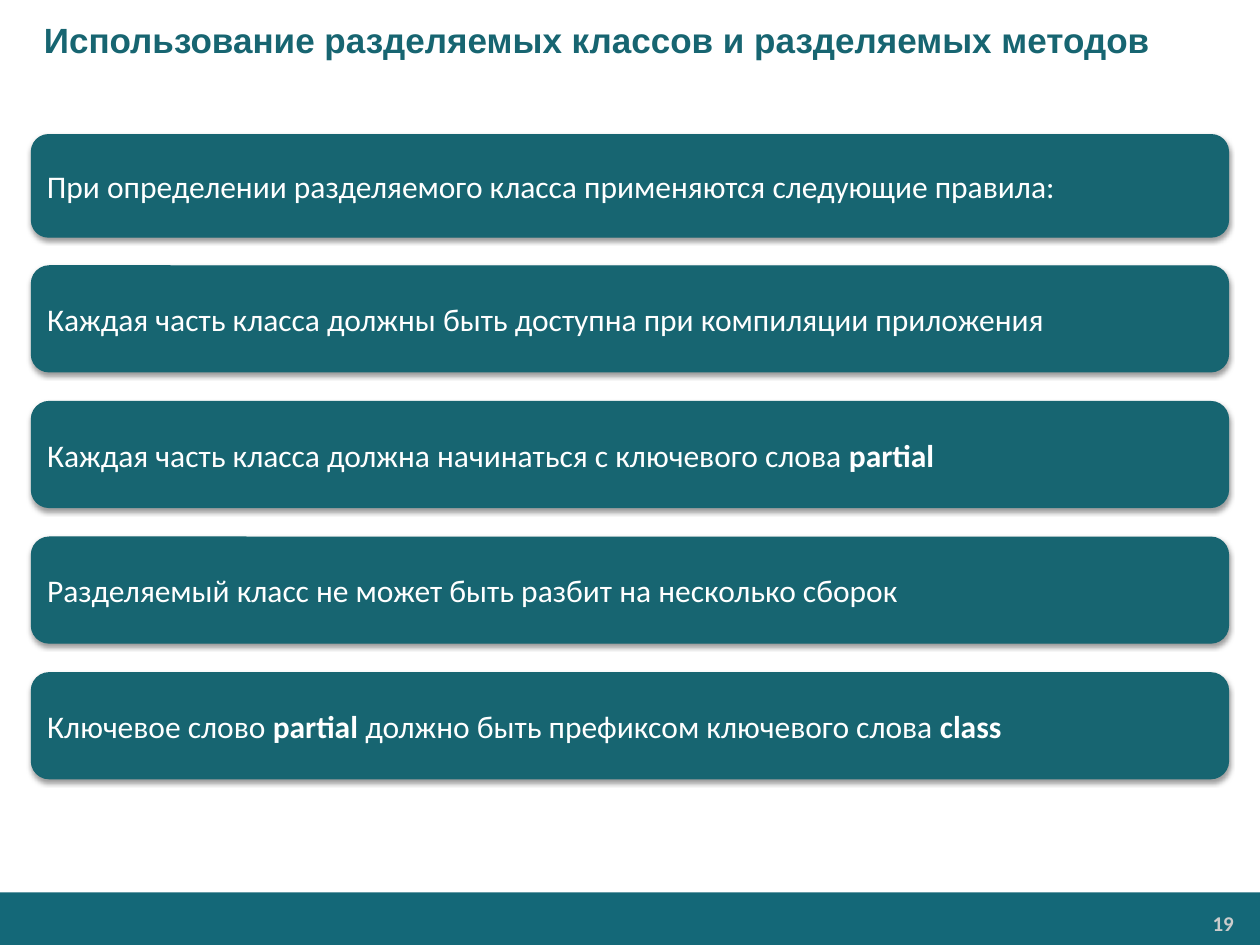
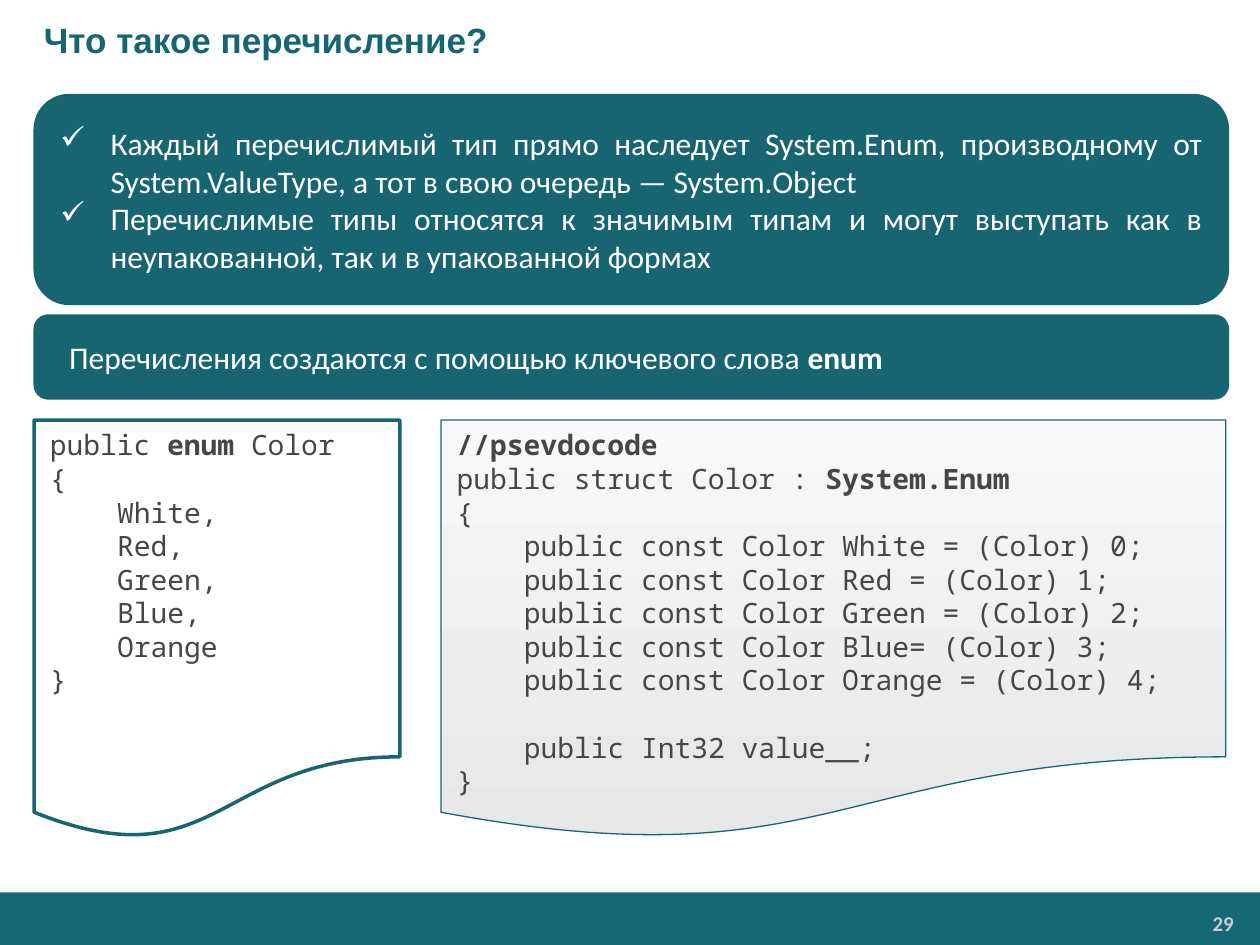
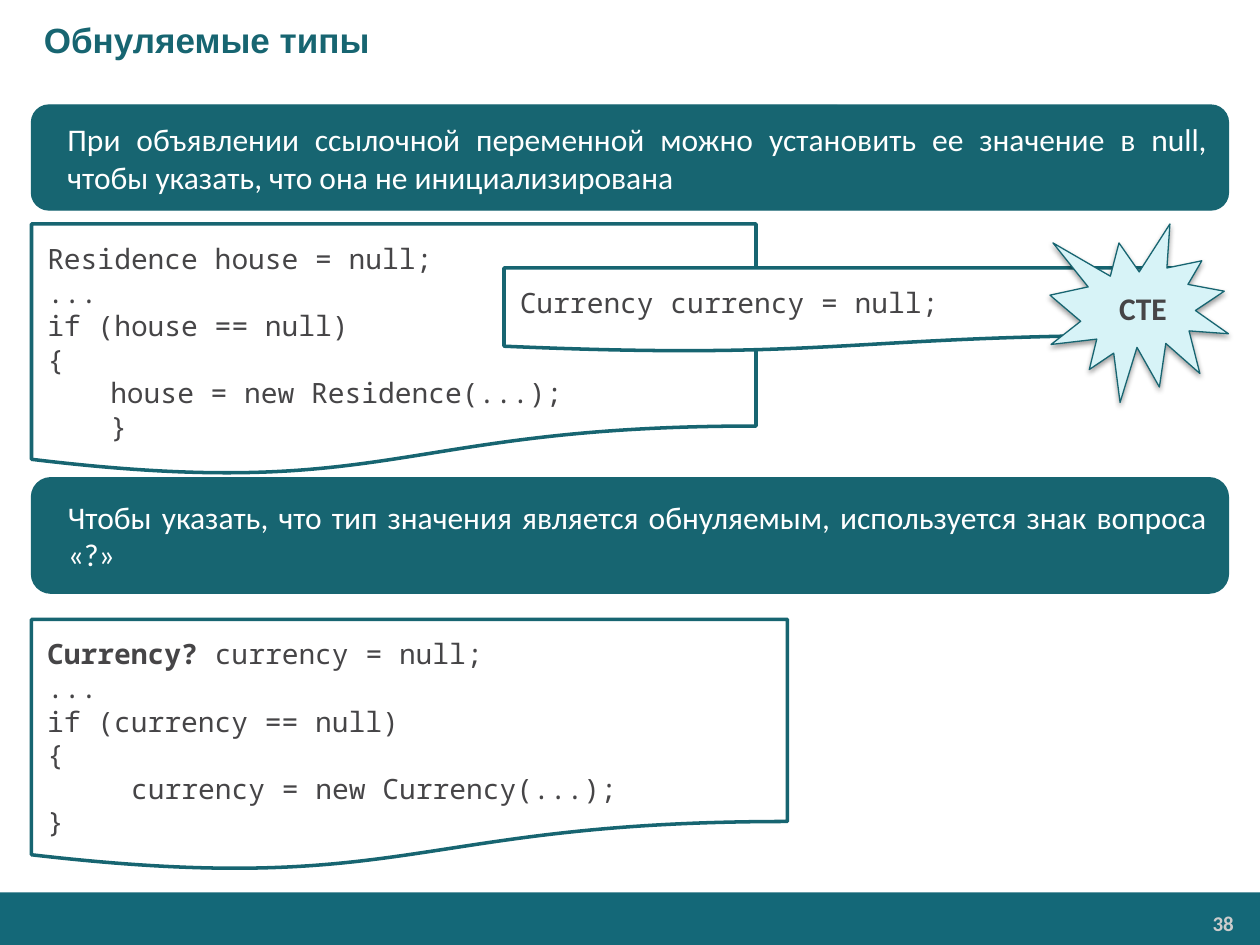
from lxml.etree import SubElement
from pptx import Presentation
from pptx.dml.color import RGBColor
from pptx.enum.shapes import MSO_SHAPE
from pptx.enum.text import MSO_ANCHOR, PP_ALIGN
from pptx.oxml.ns import qn
from pptx.util import Pt

TEAL = RGBColor(0x17, 0x65, 0x71)
BAND = RGBColor(0x14, 0x68, 0x78)
PALE = RGBColor(0xD7, 0xF3, 0xF7)
WHITE = RGBColor(0xFF, 0xFF, 0xFF)
INK = RGBColor(0x46, 0x45, 0x47)
SILVER = RGBColor(0xCC, 0xCC, 0xCC)
GRAY_LOW = RGBColor(0xE7, 0xE7, 0xE7)
GRAY_TOP = RGBColor(0xF8, 0xF8, 0xF8)
GRAYS = (GRAY_LOW, GRAY_TOP)

WIDTH, HEIGHT = 720, 540
LEFT, FULL = 18, 684
CODE_LINE = 19.2


def write(sp, lines, font="Calibri", size=18, color=WHITE, bold=False,
          align=PP_ALIGN.LEFT, anchor=MSO_ANCHOR.MIDDLE, insets=(9, 4.5, 9, 4.5),
          left=0, step=0, bullet=None, gap_at=None):
    """Write lines; ** toggles bold, a leading tab indents by one step."""
    tf = sp.text_frame
    tf.word_wrap = True
    tf.vertical_anchor = anchor
    tf.margin_left, tf.margin_top, tf.margin_right, tf.margin_bottom = map(Pt, insets)
    for i, line in enumerate(lines):
        p = tf.paragraphs[0] if i == 0 else tf.add_paragraph()
        p.alignment = align
        if i == gap_at:
            p.space_before = Pt(CODE_LINE)
        body = line.lstrip("\t")
        ppr = p._p.get_or_add_pPr()
        ppr.set("marL", str(Pt(left + step * (len(line) - len(body)))))
        ppr.set("indent", str(Pt(-left if bullet else 0)))
        if bullet:
            SubElement(ppr, qn("a:buChar")).set("char", bullet)
        for j, part in enumerate(body.split("**")):
            if part:
                r = p.add_run()
                r.text = part
                r.font.name, r.font.size = font, Pt(size)
                r.font.bold = bold or j % 2 == 1
                r.font.color.rgb = color


def add_shadow(sp):
    """Give a shape a soft shadow straight below it."""
    effects = sp._element.spPr.find(qn("a:effectLst"))
    shadow = SubElement(effects, qn("a:outerShdw"), blurRad=str(Pt(3.1)),
                        dist=str(Pt(1.6)), dir="5400000", rotWithShape="0")
    black = SubElement(shadow, qn("a:srgbClr"), val="000000")
    SubElement(black, qn("a:alpha"), val="38000")


def add_box(s, kind, box, fill, line=TEAL, weight=0.75, shadow=False):
    """Add a preset shape with a solid fill or a pair of gradient colours."""
    sp = s.shapes.add_shape(kind, *map(Pt, box))
    sp.shadow.inherit = False
    if isinstance(fill, RGBColor):
        sp.fill.solid()
        sp.fill.fore_color.rgb = fill
    else:
        sp.fill.gradient()
        sp.fill.gradient_angle = 90
        for stop, color, position in zip(sp.fill.gradient_stops, fill, (0, 1)):
            stop.color.rgb, stop.position = color, position
    if line is None:
        sp.line.fill.background()
    else:
        sp.line.color.rgb, sp.line.width = line, Pt(weight)
    if shadow:
        add_shadow(sp)
    return sp


def add_bar(s, box, lines, shadow=False, **fmt):
    """Add a rounded teal bar with white text."""
    sp = add_box(s, MSO_SHAPE.ROUNDED_RECTANGLE, box, TEAL, shadow=shadow)
    write(sp, lines, **{"align": PP_ALIGN.JUSTIFY, "left": 8.64, **fmt})


def add_code(s, box, lines, fill=WHITE, weight=2, top=10, **fmt):
    """Add a code listing on a sheet with a wavy lower edge."""
    sp = add_box(s, MSO_SHAPE.FLOWCHART_DOCUMENT, box, fill, weight=weight)
    write(sp, lines, font="Noto Sans Mono", size=16, color=INK,
          anchor=MSO_ANCHOR.TOP, insets=(9, top, 9, 4.5), **fmt)


def add_burst(s, box, label):
    """Add a pale star burst with a bold label."""
    sp = add_box(s, MSO_SHAPE.EXPLOSION1, box, PALE, shadow=True)
    write(sp, [label], color=INK, bold=True, left=8.64)


def add_page(prs, title, number):
    """Add a slide with its footer band, page number and title."""
    s = prs.slides.add_slide(prs.slide_layouts[6])
    add_box(s, MSO_SHAPE.RECTANGLE, (0, 510, WIDTH, HEIGHT - 510), BAND, line=None)
    page = s.shapes.add_textbox(Pt(592.5), Pt(517.5), Pt(117.5), Pt(20))
    write(page, [str(number)], size=12, color=SILVER, bold=True, align=PP_ALIGN.RIGHT,
          anchor=MSO_ANCHOR.TOP, insets=(5, 3, 5, 3))
    head = s.shapes.add_textbox(0, 0, Pt(WIDTH), Pt(45))
    write(head, [title], font="Arial", size=20, color=TEAL, bold=True,
          insets=(7.2, 3.6, 7.2, 3.6), left=18)
    return s


def build_rules(prs):
    """Build the slide with the rules for partial classes."""
    s = add_page(prs, "Использование разделяемых классов и разделяемых методов", 19)
    fmt = {"shadow": True, "left": 0, "insets": (6, 6, 6, 6)}
    add_bar(s, (LEFT, 77, FULL, 58.5),
            ["При определении разделяемого класса применяются следующие правила:"], **fmt)
    rules = [
        "Каждая часть класса должны быть доступна при компиляции приложения",
        "Каждая часть класса должна начинаться с ключевого слова **partial**",
        "Разделяемый класс не может быть разбит на несколько сборок",
        "Ключевое слово **partial **должно быть префиксом ключевого слова **class**",
    ]
    for i, rule in enumerate(rules):
        add_bar(s, (LEFT, 152 + 77.5 * i, FULL, 60.5), [rule], **fmt)


def build_enum(prs):
    """Build the slide that explains enumerations."""
    s = add_page(prs, "Что такое перечисление?", 29)
    left, width = 19.5, 682.5
    add_bar(s, (left, 54, width, 120), [
        "Каждый перечислимый тип прямо наследует System.Enum, производному от "
        "System.ValueType, а тот в свою очередь — System.Object",
        "Перечислимые типы относятся к значимым типам и могут выступать как в "
        "неупакованной, так и в упакованной формах",
    ], left=28.8, bullet="✓")
    add_bar(s, (left, 180, width, 48),
            ["Перечисления cоздаются с помощью ключевого слова **enum**"])
    names = ["White", "Red", "Green", "Blue", "Orange"]
    members = ["\t" + name + "," for name in names[:-1]] + ["\t" + names[-1]]
    add_code(s, (left, 240, 209, 240),
             ["public **enum **Color", "{", *members, "}"], top=4.5, step=38.4)
    constants = [f"\tpublic const Color {name}{'=' if name == 'Blue' else ' ='} (Color) {i};"
                 for i, name in enumerate(names)]
    add_code(s, (252, 240, 448.5, 240),
             ["**//psevdocode**", "public struct Color : **System.Enum**", "{",
              *constants, "\tpublic Int32 value__;", "}"],
             fill=GRAYS, weight=0.75, top=4.5, step=38.4, gap_at=8)


def build_nullable(prs):
    """Build the slide about nullable types."""
    s = add_page(prs, "Обнуляемые типы", 38)
    add_bar(s, (LEFT, 60, FULL, 60), [
        "При объявлении ссылочной переменной можно установить ее значение в null, "
        "чтобы указать, что она не инициализирована"])
    add_code(s, (LEFT, 128, 414, 144), [
        "Residence house = null;", "...", "if (house == null)", "{",
        "\thouse = new Residence(...);", "\t}"], step=36)
    add_code(s, (288, 153, 384, 48), ["Currency currency = null;"])
    add_burst(s, (600, 128, 102, 102), "CTE")
    add_code(s, (LEFT, 354, 432, 144), [
        "**Currency? **currency = null;", "...", "if (currency == null)", "{",
        "\tcurrency = new Currency(...);", "}"], step=48)
    add_bar(s, (LEFT, 273, FULL, 66), [
        "Чтобы указать, что тип значения является обнуляемым, используется знак "
        "вопроса «?»"])


def main():
    """Build the three slides and save them."""
    prs = Presentation()
    prs.slide_width, prs.slide_height = Pt(WIDTH), Pt(HEIGHT)
    build_rules(prs)
    build_enum(prs)
    build_nullable(prs)
    prs.save("out.pptx")


if __name__ == "__main__":
    main()
